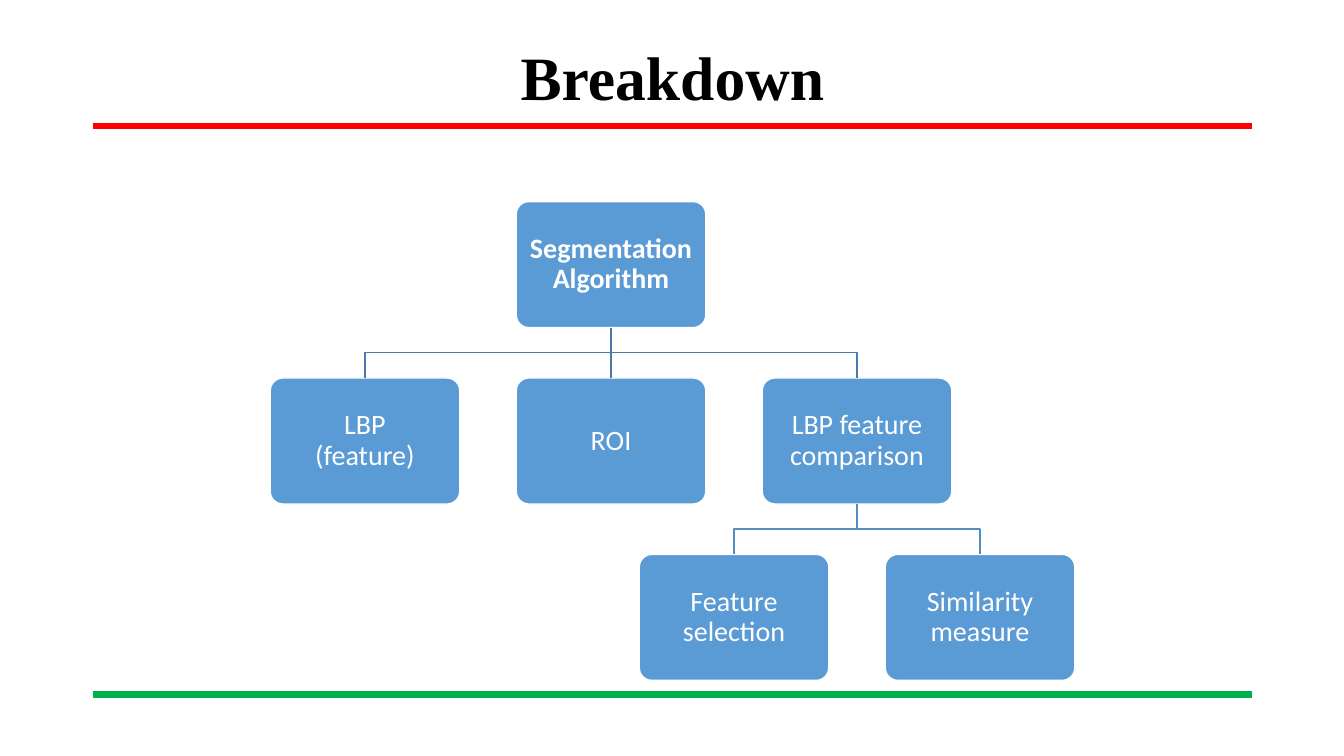
from dataclasses import dataclass

from lxml import etree
from pptx import Presentation
from pptx.dml.color import RGBColor
from pptx.enum.shapes import MSO_CONNECTOR, MSO_SHAPE
from pptx.enum.text import MSO_ANCHOR, PP_ALIGN
from pptx.oxml.ns import qn
from pptx.util import Inches, Pt

STRAIGHT = MSO_CONNECTOR.STRAIGHT
ROUNDED = MSO_SHAPE.ROUNDED_RECTANGLE
MIDDLE = MSO_ANCHOR.MIDDLE
CENTER = PP_ALIGN.CENTER
TOP_SIDE, BOTTOM_SIDE = 0, 2


@dataclass(frozen=True)
class Theme:
    title_font: str = "Times New Roman"
    body_font: str = "Calibri"
    title_size: float = 44
    box_size: float = 20
    rule_width: float = 4.5
    thin_width: float = 1
    black: str = "000000"
    white: str = "FFFFFF"
    box: str = "5B9BD5"
    upper_link: str = "497CAB"
    lower_link: str = "538DC1"
    top_rule: str = "FF0000"
    bottom_rule: str = "00B050"


@dataclass(frozen=True)
class Node:
    """A box of the tree; col counts columns from the root."""
    text: str
    col: float
    row: int
    bold: bool = False

    @property
    def center(self) -> float:
        return ROOT_CENTER + self.col * COL_PITCH

    @property
    def top(self) -> float:
        return ROOT_TOP + self.row * ROW_PITCH

    @property
    def bottom(self) -> float:
        return self.top + BOX_H


@dataclass(frozen=True)
class Link:
    parent: Node
    child: Node
    color: str


THEME = Theme()
BOX_W, BOX_H = 1.88, 1.25
COL_PITCH, ROW_PITCH = 2.44, 1.75
ROOT_CENTER, ROOT_TOP = 6.06, 2
RULE_LEFT, RULE_RIGHT = 0.92, 12.42

ROOT = Node("Segmentation Algorithm", 0, 0, bold=True)
LBP = Node("LBP\n(feature)", -1, 1)
ROI = Node("ROI", 0, 1)
COMPARISON = Node("LBP feature\ncomparison", 1, 1)
SELECTION = Node("Feature\nselection", 0.5, 2)
SIMILARITY = Node("Similarity\nmeasure", 1.5, 2)
NODES = (ROOT, LBP, ROI, COMPARISON, SELECTION, SIMILARITY)
LINKS = (
    *(Link(ROOT, child, THEME.upper_link) for child in (LBP, ROI, COMPARISON)),
    *(Link(COMPARISON, child, THEME.lower_link) for child in (SELECTION, SIMILARITY)),
)


def rgb(value: str) -> RGBColor:
    return RGBColor.from_string(value)


def set_text(shape, text: str, *, font: str, size: float, color: str,
             bold: bool = False) -> None:
    tf = shape.text_frame
    tf.word_wrap = True
    tf.vertical_anchor = MIDDLE
    p = tf.paragraphs[0]
    p.text = text
    p.alignment = CENTER
    p.line_spacing = 0.9
    for r in p.runs:
        r.font.name = font
        r.font.size = Pt(size)
        r.font.bold = bold
        r.font.color.rgb = rgb(color)


def set_line(shape, color: str, width: float) -> None:
    shape.line.color.rgb = rgb(color)
    shape.line.width = Pt(width)


def add_line(slide, x1: float, y1: float, x2: float, y2: float,
             color: str, width: float):
    line = slide.shapes.add_connector(
        STRAIGHT, Inches(x1), Inches(y1), Inches(x2), Inches(y2))
    set_line(line, color, width)
    etree.SubElement(line._element.spPr, qn("a:effectLst"))
    return line


def add_node(slide, node: Node):
    s = slide.shapes.add_shape(
        ROUNDED, Inches(node.center - BOX_W / 2), Inches(node.top),
        Inches(BOX_W), Inches(BOX_H))
    s.adjustments[0] = 0.1
    s.shadow.inherit = False
    s.fill.solid()
    s.fill.fore_color.rgb = rgb(THEME.box)
    set_line(s, THEME.white, THEME.thin_width)
    tf = s.text_frame
    tf.margin_left = tf.margin_right = Inches(0.08)
    tf.margin_top = tf.margin_bottom = Inches(0.08)
    set_text(s, node.text, font=THEME.body_font, size=THEME.box_size,
             color=THEME.white, bold=node.bold)
    return s


def add_link(slide, link: Link, boxes: dict) -> None:
    parent, child = link.parent, link.child
    if parent.col == child.col:
        line = add_line(slide, parent.center, parent.bottom, child.center,
                        child.top, link.color, THEME.thin_width)
        line.begin_connect(boxes[parent], BOTTOM_SIDE)
        line.end_connect(boxes[child], TOP_SIDE)
        return
    middle = (parent.bottom + child.top) / 2
    points = [(parent.center, parent.bottom), (parent.center, middle),
              (child.center, middle), (child.center, child.top)]
    start, *rest = [(Inches(x), Inches(y)) for x, y in points]
    builder = slide.shapes.build_freeform(*start)
    builder.add_line_segments(rest, close=False)
    s = builder.convert_to_shape()
    s.shadow.inherit = False
    s.fill.background()
    set_line(s, link.color, THEME.thin_width)


def main() -> None:
    prs = Presentation()
    prs.slide_width, prs.slide_height = Inches(13.33), Inches(7.5)
    slide = prs.slides.add_slide(prs.slide_layouts[6])

    # Rules above and below the content
    for y, color in ((1.25, THEME.top_rule), (6.89, THEME.bottom_rule)):
        add_line(slide, RULE_LEFT, y, RULE_RIGHT, y, color, THEME.rule_width)

    # Title
    title = slide.shapes.add_textbox(
        Inches(RULE_LEFT), Inches(0.4), Inches(RULE_RIGHT - RULE_LEFT), Inches(0.79))
    set_text(title, "Breakdown", font=THEME.title_font, size=THEME.title_size,
             color=THEME.black, bold=True)

    # Tree
    boxes = {node: add_node(slide, node) for node in NODES}
    for link in LINKS:
        add_link(slide, link, boxes)

    prs.save("out.pptx")


if __name__ == "__main__":
    main()
